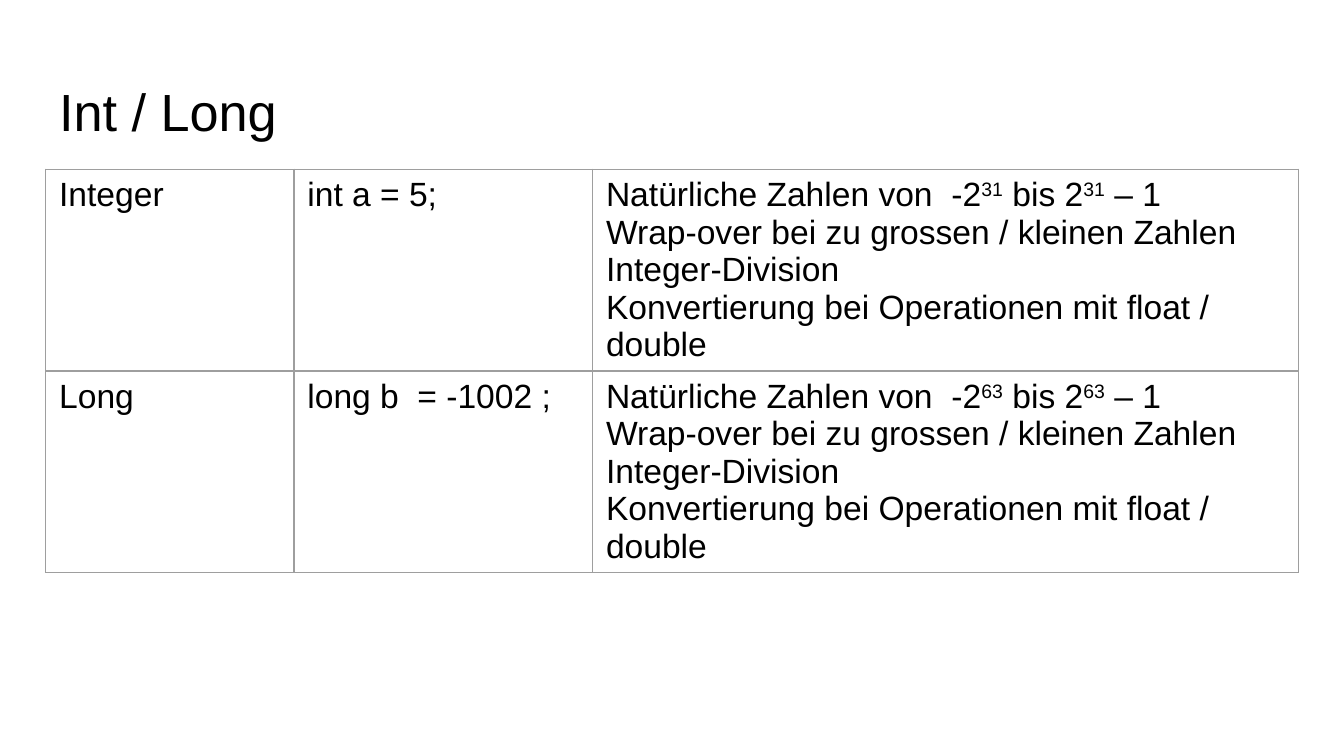
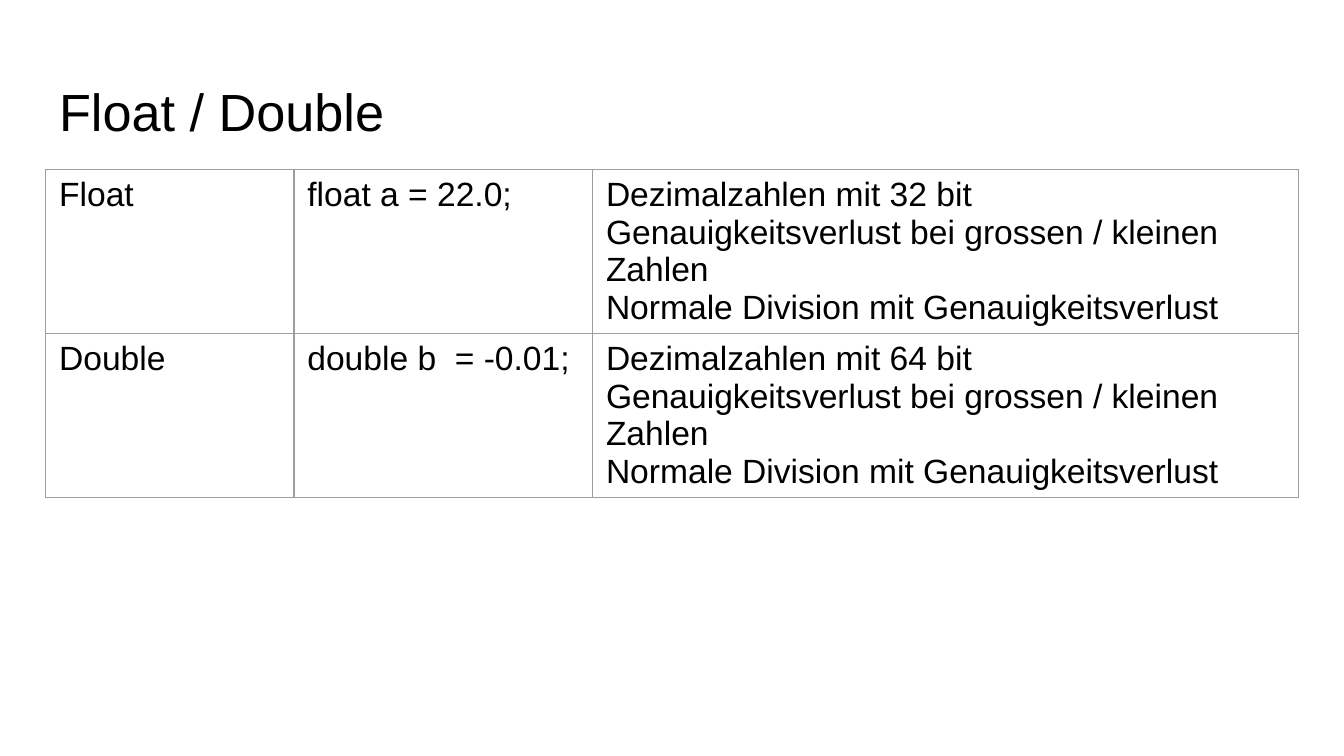
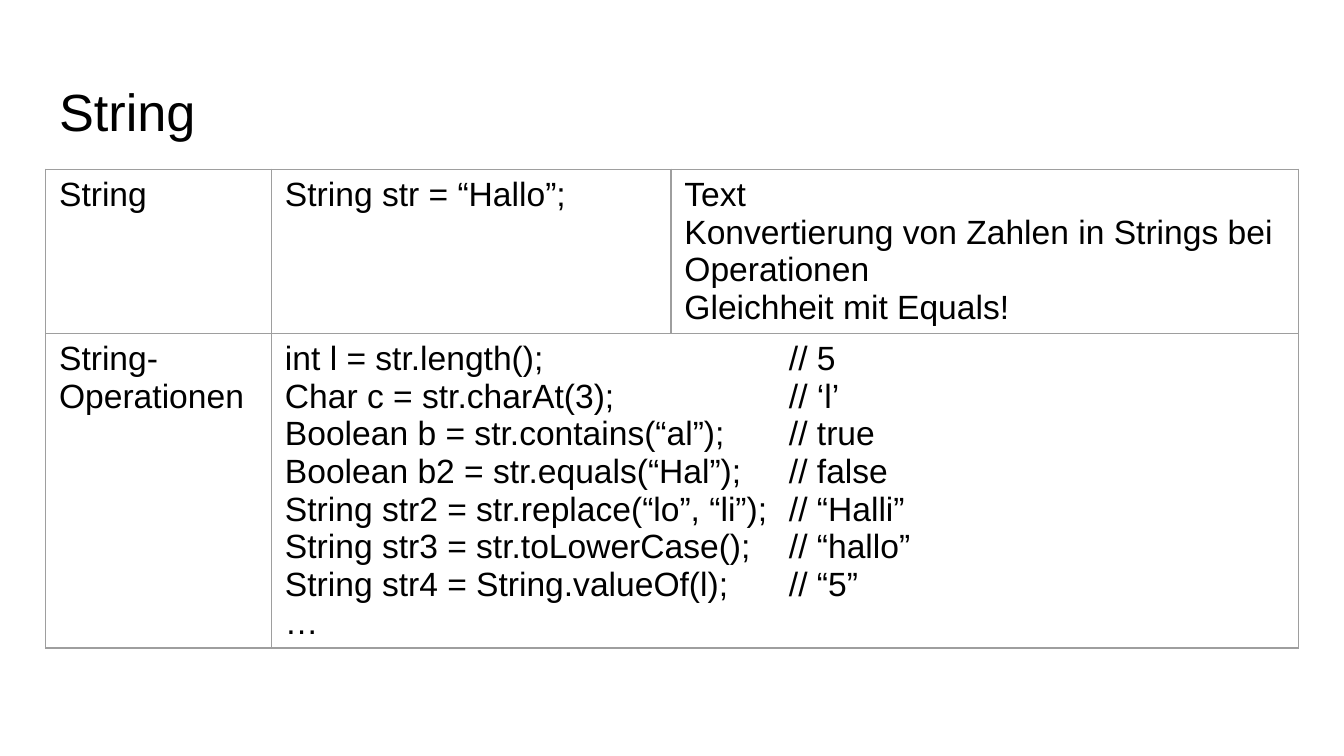
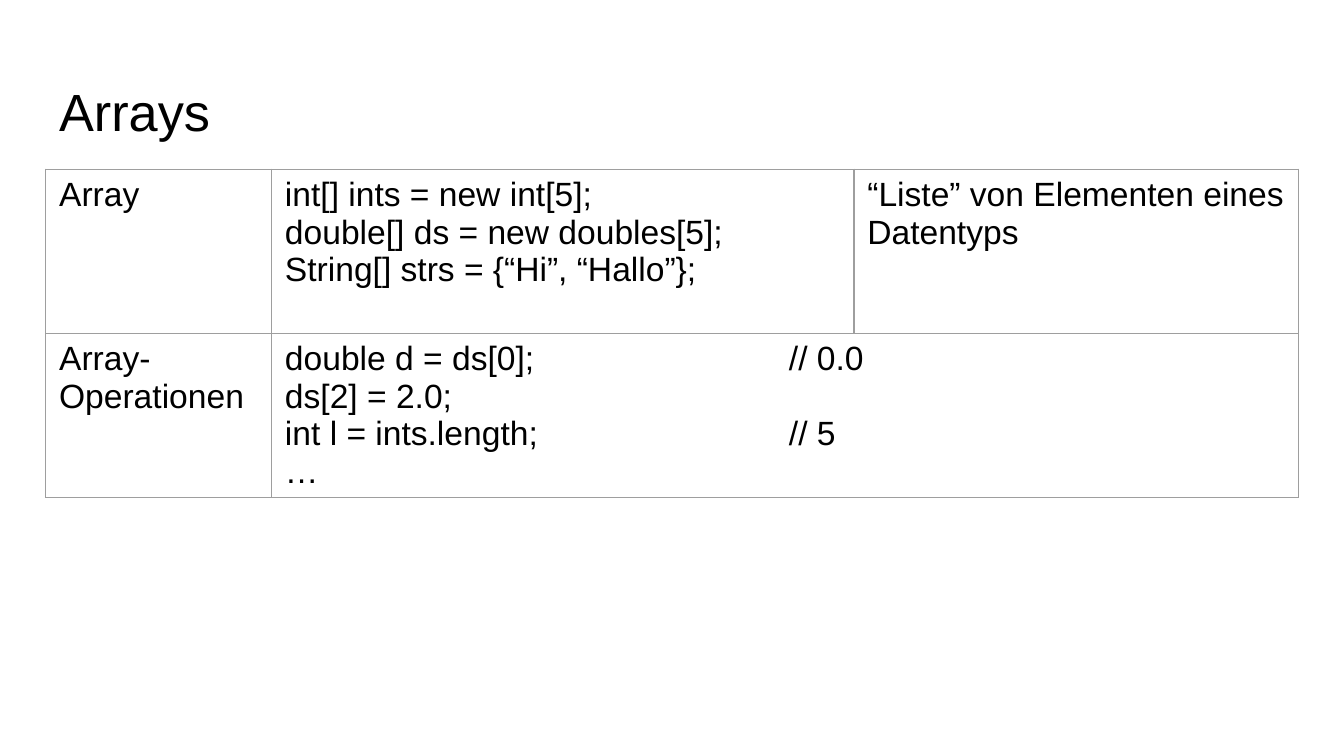
from dataclasses import dataclass

from lxml.etree import SubElement as Sub
from pptx import Presentation
from pptx.dml.color import RGBColor as RGB
from pptx.enum.text import MSO_ANCHOR as Anchor, MSO_AUTO_SIZE as Fit, PP_ALIGN as Align
from pptx.oxml import parse_xml
from pptx.oxml.ns import nsdecls, qn
from pptx.util import Pt


@dataclass(frozen=True)
class Theme:
    font: str = "Arial"
    ink: RGB = RGB(0, 0, 0)
    rule: str = "9E9E9E"
    head: int = 28
    text: int = 18
    line: int = 20
    left: float = 24.5
    width: float = 671
    top: float = 90.7
    stop: int = 270


class Deck:
    """Holds the style and the current slide."""

    def __init__(self, theme):
        self.theme = theme
        self.prs = Presentation()
        self.prs.slide_width, self.prs.slide_height = Pt(720), Pt(405)
        self.slide = None

    def style(self, para, size):
        para.font.name = self.theme.font
        para.font.size = Pt(size)
        para.font.color.rgb = self.theme.ink

    def page(self, title):
        self.slide = self.prs.slides.add_slide(self.prs.slide_layouts[5])
        box = self.slide.shapes.title
        box.left, box.top = Pt(self.theme.left), Pt(35)
        box.width, box.height = Pt(self.theme.width), Pt(45)
        frame = box.text_frame
        frame.text = title
        frame.auto_size = Fit.NONE
        frame.vertical_anchor = Anchor.TOP
        frame.margin_left = frame.margin_right = Pt(7.2)
        frame.margin_top = frame.margin_bottom = Pt(7.2)
        para = frame.paragraphs[0]
        para.alignment = Align.LEFT
        self.style(para, self.theme.head)

    def border(self, cell):
        cell.fill.background()
        props = cell._tc.get_or_add_tcPr()
        for spot, side in enumerate("LRTB"):
            props.insert(spot, parse_xml(
                f'<a:ln{side} {nsdecls("a")} w="{Pt(0.75)}"><a:solidFill>'
                f'<a:srgbClr val="{self.theme.rule}"/></a:solidFill></a:ln{side}>'))

    def label(self, cell, text):
        frame = cell.text_frame
        for spot, line in enumerate(text.split("\n")):
            para = frame.add_paragraph() if spot else frame.paragraphs[0]
            if "\t" in line:
                tabs = Sub(para._p.get_or_add_pPr(), qn("a:tabLst"))
                Sub(tabs, qn("a:tab"), pos=str(Pt(self.theme.stop)), algn="l")
            self.style(para, self.theme.text)
            for part, piece in enumerate(line.split("^")):
                run = para.add_run()
                run.text = piece
                if part % 2:
                    run._r.get_or_add_rPr().set("baseline", "30000")

    def table(self, cols, rows):
        highs = [self.theme.line * lines + 8 for lines, _ in rows]
        grid = self.slide.shapes.add_table(
            len(rows), len(cols), Pt(self.theme.left), Pt(self.theme.top),
            Pt(self.theme.width), Pt(sum(highs))).table
        grid.first_row = grid.horz_banding = False
        for col, wide in zip(grid.columns, cols):
            col.width = Pt(wide)
        for row, high, (_, texts) in zip(grid.rows, highs, rows):
            row.height = Pt(high)
            cells = list(row.cells)
            for cell in cells:
                self.border(cell)
            if len(texts) < len(cells):
                cells[len(texts) - 1].merge(cells[-1])
            for cell, text in zip(cells, texts):
                self.label(cell, text)


def whole(bits):
    return (f"Natürliche Zahlen von  -2^{bits}^ bis 2^{bits}^ – 1\n"
            "Wrap-over bei zu grossen / kleinen Zahlen\n"
            "Integer-Division\n"
            "Konvertierung bei Operationen mit float / double")


def real(bits):
    return (f"Dezimalzahlen mit {bits} bit\n"
            "Genauigkeitsverlust bei grossen / kleinen Zahlen\n"
            "Normale Division mit Genauigkeitsverlust")


NUMS = (133, 160, 378)

PAGES = [
    ("Int / Long", NUMS, [
        (5, ["Integer", "int a = 5;", whole(31)]),
        (5, ["Long", "long b  = -1002 ;", whole(63)]),
    ]),
    ("Float / Double", NUMS, [
        (4, ["Float", "float a = 22.0;", real(32)]),
        (4, ["Double", "double b  = -0.01;", real(64)]),
    ]),
    ("String", (121, 214, 336), [
        (4, ["String", "String str = “Hallo”;",
             "Text\n"
             "Konvertierung von Zahlen in Strings bei Operationen\n"
             "Gleichheit mit Equals!"]),
        (8, ["String-Operationen",
             "int l = str.length();\t// 5\n"
             "Char c = str.charAt(3);\t// ‘l’\n"
             "Boolean b = str.contains(“al”);\t// true\n"
             "Boolean b2 = str.equals(“Hal”);\t// false\n"
             "String str2 = str.replace(“lo”, “li”);\t// “Halli”\n"
             "String str3 = str.toLowerCase();\t// “hallo”\n"
             "String str4 = String.valueOf(l);\t// “5”\n"
             "…"]),
    ]),
    ("Arrays", (121, 312, 238), [
        (4, ["Array",
             "int[] ints = new int[5];\n"
             "double[] ds = new doubles[5];\n"
             "String[] strs = {“Hi”, “Hallo”};",
             "“Liste” von Elementen eines Datentyps"]),
        (4, ["Array-Operationen",
             "double d = ds[0];\t// 0.0\n"
             "ds[2] = 2.0;\n"
             "int l = ints.length;\t// 5\n"
             "…"]),
    ]),
]


def main():
    deck = Deck(Theme())
    for title, cols, rows in PAGES:
        deck.page(title)
        deck.table(cols, rows)
    deck.prs.save("out.pptx")


if __name__ == "__main__":
    main()
